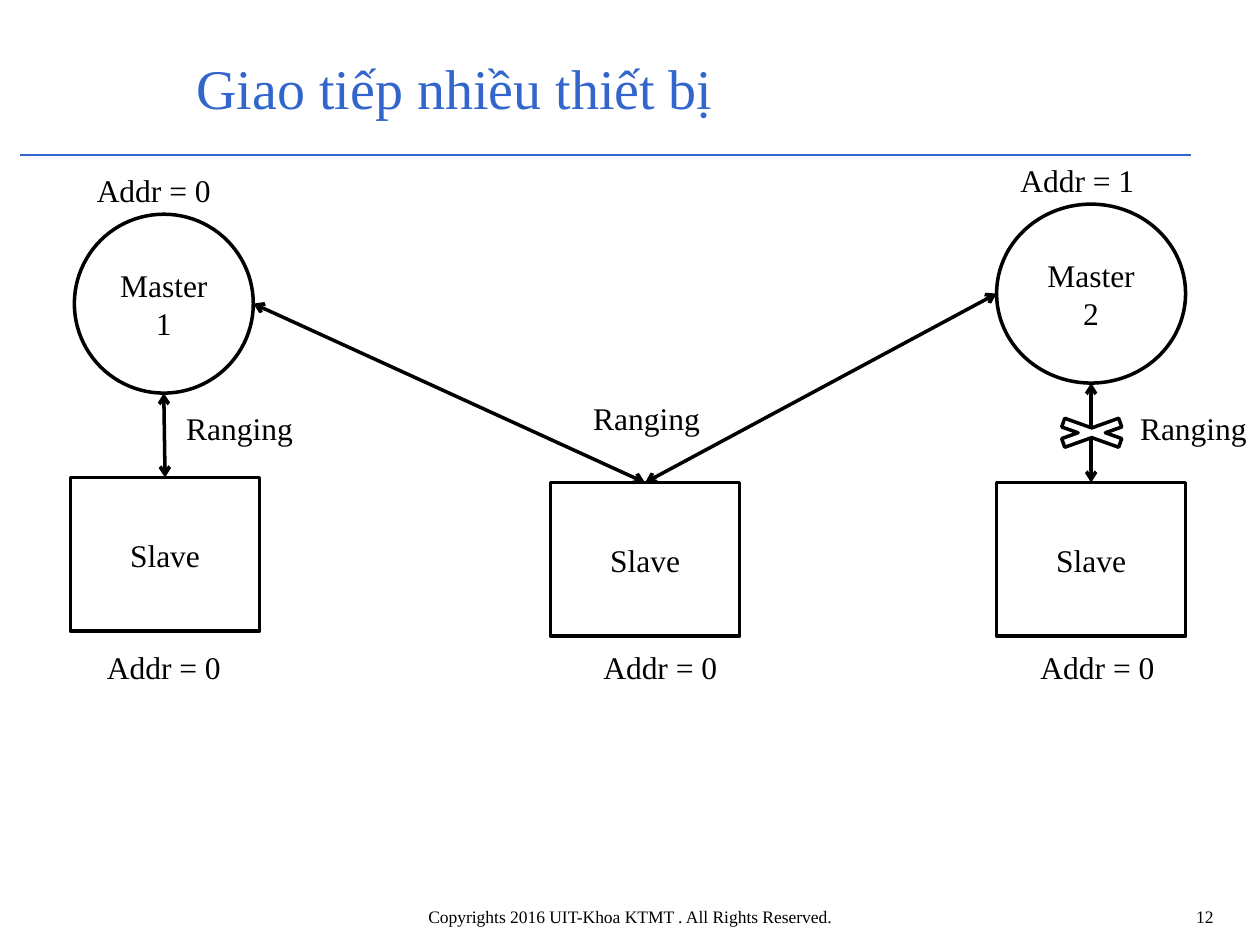
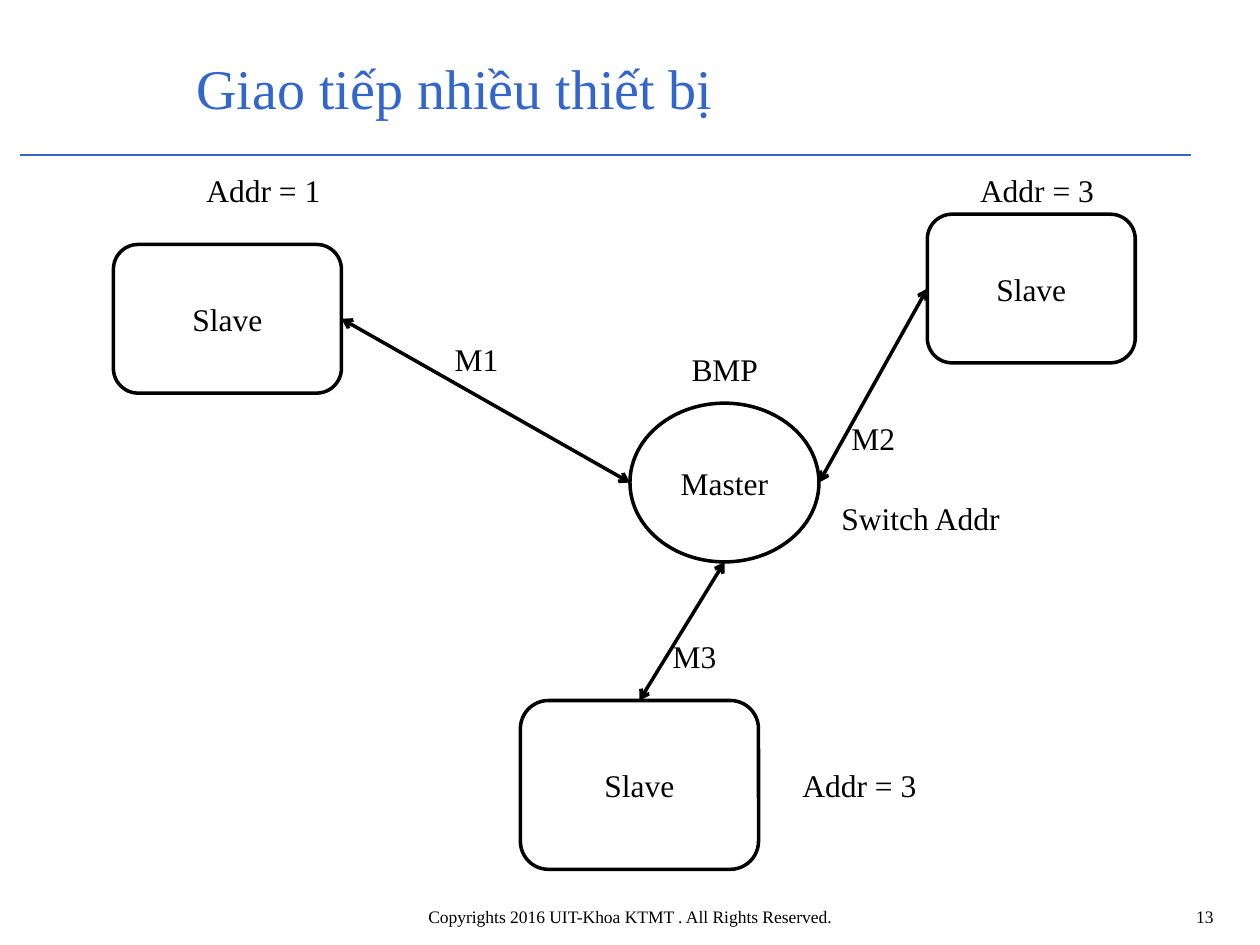
from collections import namedtuple

from lxml import etree
from pptx import Presentation
from pptx import util as u
from pptx.dml.color import RGBColor
from pptx.enum import shapes, text
from pptx.oxml.ns import qn

BLUE = RGBColor(0x33, 0x66, 0xCC)
BLACK = RGBColor(0, 0, 0)
WHITE = RGBColor(0xFF, 0xFF, 0xFF)
FONT = "Times New Roman"
TITLE = "Giao tiếp nhiều thiết bị"
COPYRIGHT = "Copyrights 2016 UIT-Khoa KTMT . All Rights Reserved."

COLUMNS, ROWS = 100, 75
CELL = u.Inches(0.1)
LABEL_ROWS = 4
ADDR_WIDTH, RANGING_WIDTH, LINK_WIDTH = 11, 10.4, 5.4

KIND = shapes.MSO_SHAPE
ALIGN = text.PP_ALIGN
ANCHOR = text.MSO_ANCHOR

# Columns and rows: left, top, width, height
Box = namedtuple("Box", "left top width height")
HEADER = Box(0, 0, COLUMNS, 12)
BODY = Box(0, 12, COLUMNS, 59)
FOOTER = Box(0, 71.4, COLUMNS, 3.2)


def within(region, left, top, width, height):
    return Box(region.left + left, region.top + top, width, height)


def lengths(box):
    return [u.Emu(round(value * CELL)) for value in box]


def write(shape, words, size=18, color=BLACK, align=ALIGN.LEFT,
          anchor=ANCHOR.TOP, wrap=True):
    frame = shape.text_frame
    frame.auto_size = text.MSO_AUTO_SIZE.NONE
    frame.word_wrap = wrap
    frame.vertical_anchor = anchor
    para = frame.paragraphs[0]
    para.alignment = align
    span = para.add_run()
    span.text = words
    span.font.name = FONT
    span.font.size = u.Pt(size)
    span.font.color.rgb = color


def add_label(page, box, words, **style):
    write(page.shapes.add_textbox(*lengths(box)), words, **style)


def add_node(page, kind, box, words=""):
    node = page.shapes.add_shape(kind, *lengths(box))
    node.shadow.inherit = False
    node.fill.solid()
    node.fill.fore_color.rgb = WHITE
    node.line.color.rgb = BLACK
    node.line.width = u.Pt(2)
    if words:
        write(node, words, align=ALIGN.CENTER, anchor=ANCHOR.MIDDLE)
    return node


def add_line(page, start, end, color, width):
    line = page.shapes.add_connector(shapes.MSO_CONNECTOR.STRAIGHT, *start, *end)
    line.line.color.rgb = color
    line.line.width = u.Pt(width)
    etree.SubElement(line._element.spPr, qn("a:effectLst"))
    return line


def side(node, name):
    """Return the middle of one side of a node."""
    across, down = {"top": (0.5, 0), "bottom": (0.5, 1),
                    "left": (0, 0.5), "right": (1, 0.5)}[name]
    return (round(node.left + across * node.width),
            round(node.top + down * node.height))


def link(page, start, end):
    """Join two nodes, each given with its side, by a two-headed arrow."""
    arrow = add_line(page, side(*start), side(*end), BLACK, 2)
    outline = arrow.line._get_or_add_ln()
    for tip in ("a:headEnd", "a:tailEnd"):
        etree.SubElement(outline, qn(tip), type="arrow")


def add_header(page, region):
    # Translucent band behind the title
    band = page.shapes.add_shape(KIND.RECTANGLE,
                                 *lengths(within(region, 0, 0.5, 94.5, 14.2)))
    band.shadow.inherit = False
    band.line.fill.background()
    band.fill.solid()
    band.fill.fore_color.rgb = WHITE
    tint = band._element.spPr.find(".//" + qn("a:srgbClr"))
    etree.SubElement(tint, qn("a:alpha"), val="60000")
    page.shapes._spTree.insert(2, band._element)

    # Rule and title
    left, top, width, _ = lengths(within(region, 1.6, 12.3, 92.9, 0))
    add_line(page, (left, top), (left + width, top), BLUE, 0.75)
    title = page.shapes.title
    title.left, title.top, title.width, title.height = lengths(
        within(region, 14.6, 3.1, 80.4, 7.6))
    write(title, TITLE, size=32, color=BLUE, anchor=ANCHOR.MIDDLE)


def add_footer(page, region, number):
    add_label(page, within(region, 19.3, 0, 61.4, region.height), COPYRIGHT,
              size=10, align=ALIGN.CENTER)
    add_label(page, within(region, 78.1, 0, 19.2, region.height), str(number),
              size=10, align=ALIGN.RIGHT)


def add_page(deck, number):
    page = deck.slides.add_slide(deck.slide_layouts[5])
    add_header(page, HEADER)
    add_footer(page, FOOTER, number)
    return page


def add_labels(page, region, labels):
    for words, left, top, width in labels:
        add_label(page, within(region, left, top, width, LABEL_ROWS), words,
                  wrap=False)


def draw_two_masters(page, region):
    # Masters above, slaves below
    first_master, second_master = [
        add_node(page, KIND.OVAL, within(region, left, top, width, 14.2), words)
        for words, left, top, width in (("Master 1", 5.9, 5, 14.2),
                                        ("Master 2", 79.1, 4.2, 15))]
    left_slave, middle_slave, right_slave = [
        add_node(page, KIND.RECTANGLE, within(region, left, top, 15, 12.2), "Slave")
        for left, top in ((5.6, 25.9), (43.7, 26.3), (79.1, 26.3))]

    # Ranging links, the last one crossed out
    link(page, (first_master, "bottom"), (left_slave, "top"))
    link(page, (first_master, "right"), (middle_slave, "top"))
    link(page, (middle_slave, "top"), (second_master, "left"))
    link(page, (second_master, "bottom"), (right_slave, "top"))
    add_node(page, KIND.MATH_MULTIPLY, within(region, 82.3, 20.8, 8.7, 3.1))

    # Addresses of masters and slaves, names of links
    add_labels(page, region, [("Addr = 0", 6.7, 1.1, ADDR_WIDTH),
                              ("Addr = 1", 80, 0.3, ADDR_WIDTH)])
    add_labels(page, region, [("Addr = 0", left, 38.9, ADDR_WIDTH)
                              for left in (7.5, 46.9, 81.6)])
    add_labels(page, region, [("Ranging", left, top, RANGING_WIDTH)
                              for left, top in ((13.8, 20), (46.1, 19.2), (89.5, 20))])


def draw_one_master(page, region):
    # Master in the middle, slaves around it
    master = add_node(page, KIND.OVAL, within(region, 50, 20, 15, 12.6), "Master")
    left_slave, right_slave, bottom_slave = [
        add_node(page, KIND.ROUNDED_RECTANGLE, within(region, *place), "Slave")
        for place in ((9, 7.4, 18.1, 11.8), (73.6, 5, 16.5, 11.8),
                      (41.3, 43.6, 18.9, 13.4))]

    # Links to each slave
    link(page, (master, "left"), (left_slave, "right"))
    link(page, (master, "right"), (right_slave, "left"))
    link(page, (master, "bottom"), (bottom_slave, "top"))

    # Names of links, addresses and notes
    add_labels(page, region, [
        ("M1", 35.1, 14.5, LINK_WIDTH),
        ("M2", 66.6, 20.8, LINK_WIDTH),
        ("M3", 52.4, 38.1, LINK_WIDTH),
        ("Addr = 1", 15.4, 1.1, ADDR_WIDTH),
        ("Addr = 3", 76.8, 1.1, ADDR_WIDTH),
        ("Addr = 3", 62.7, 48.3, ADDR_WIDTH),
        ("BMP", 53.9, 15.3, 7.3),
        ("Switch Addr", 65.8, 27.1, 14.7),
    ])


def main():
    deck = Presentation()
    deck.slide_width = COLUMNS * CELL
    deck.slide_height = ROWS * CELL
    for number, draw in enumerate((draw_two_masters, draw_one_master), start=12):
        draw(add_page(deck, number), BODY)
    deck.save("out.pptx")


if __name__ == "__main__":
    main()
